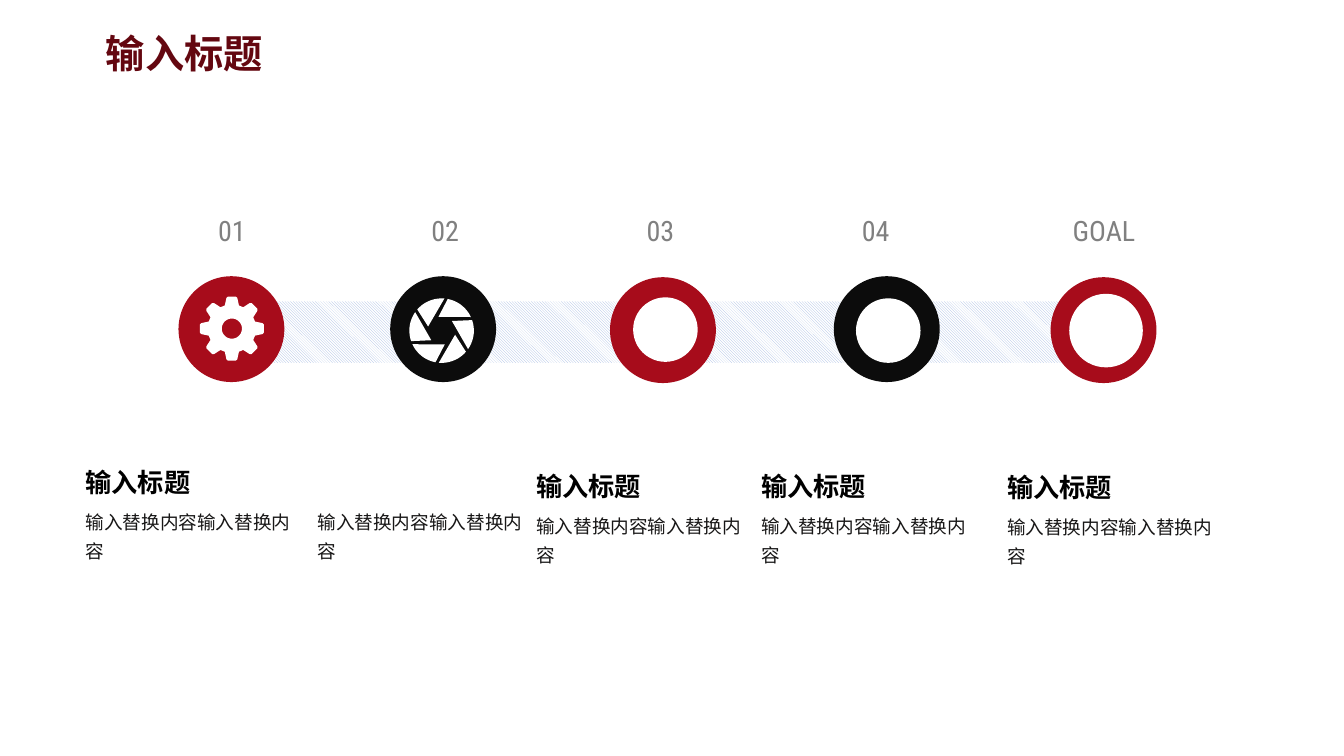
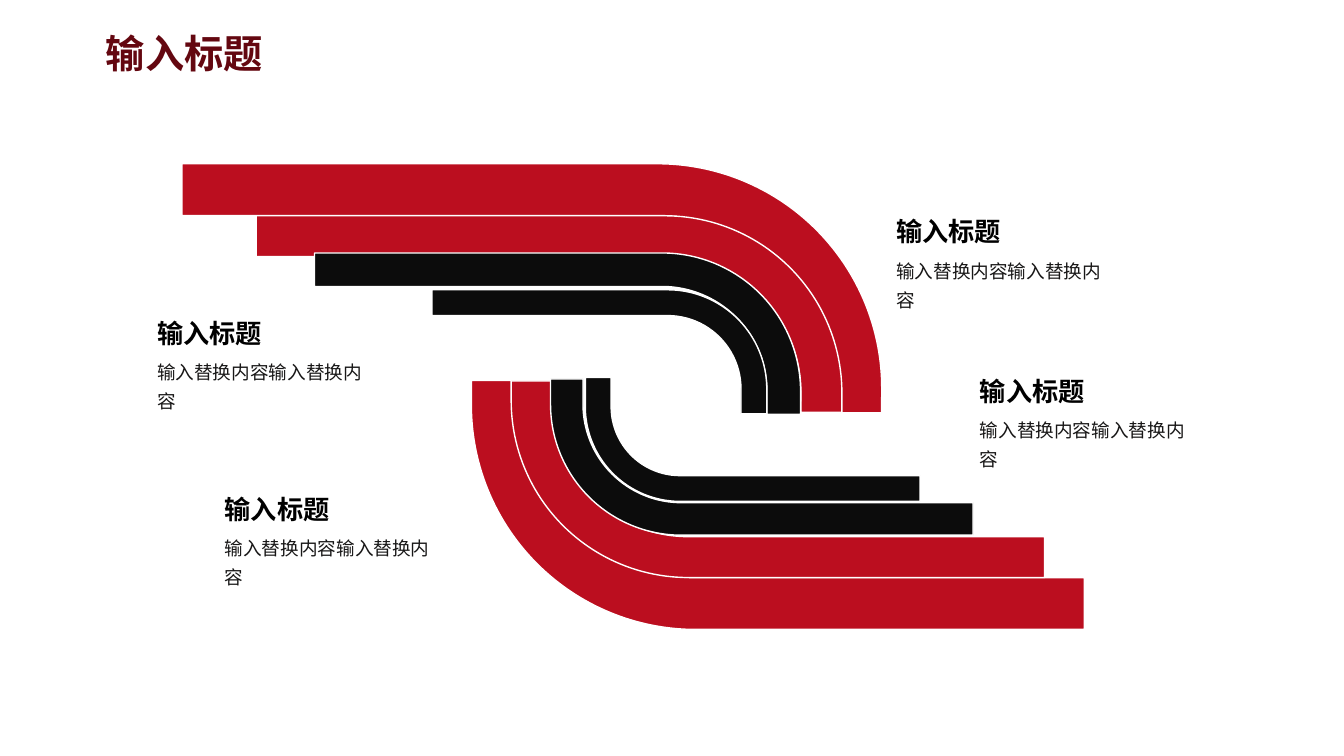
from math import cos, radians, sin

from lxml.etree import SubElement
from pptx import Presentation
from pptx.dml.color import RGBColor
from pptx.enum.dml import MSO_PATTERN
from pptx.enum.shapes import MSO_SHAPE
from pptx.enum.text import MSO_ANCHOR, MSO_AUTO_SIZE, PP_ALIGN
from pptx.oxml.ns import qn
from pptx.util import Inches, Pt

COLORS = {
    "white": "FFFFFF", "black": "0C0C0C", "crimson": "A70C1B", "red": "BB0E1F",
    "title": "640710", "heading": "000000", "body": "181717",
    "number": "808080", "stripe": "A0B7E1",
}
CJK_FONT = "Noto Sans CJK SC"
TEXT_STYLES = {
    "title": {"name": CJK_FONT, "size": Pt(28), "bold": True},
    "heading": {"name": CJK_FONT, "size": Pt(18.7), "bold": True},
    "body": {"name": CJK_FONT, "size": Pt(13.3), "bold": False},
    "number": {"name": "Roboto Condensed", "size": Pt(20), "bold": False},
}
PARAGRAPH_STYLES = {
    "title": {"alignment": PP_ALIGN.JUSTIFY},
    "heading": {"alignment": PP_ALIGN.JUSTIFY},
    "body": {"line_spacing": 1.3},
    "number": {"alignment": PP_ALIGN.CENTER},
}
TITLE_TEXT = "输入标题"
BODY_TEXT = "输入替换内容输入替换内容"
CAPTION_WIDTH = 2.24


def color(name):
    return RGBColor.from_string(COLORS[name])


def set_text(shape, text, style):
    """Write one paragraph in a named style."""
    paragraph = shape.text_frame.paragraphs[0]
    for key, value in PARAGRAPH_STYLES[style].items():
        setattr(paragraph, key, value)
    run = paragraph.add_run()
    run.text = text
    for key, value in TEXT_STYLES[style].items():
        setattr(run.font, key, value)
    run.font.color.rgb = color(style)
    east_asian = SubElement(run._r.get_or_add_rPr(), qn("a:ea"))
    east_asian.set("typeface", TEXT_STYLES[style]["name"])


def paint(shape, fill, line=None):
    shape.shadow.inherit = False
    shape.fill.solid()
    shape.fill.fore_color.rgb = color(fill)
    if line:
        shape.line.color.rgb = color(line)
        shape.line.width = Pt(1)
    else:
        shape.line.fill.background()


def add_box(slide, kind, box, fill, line=None):
    shape = slide.shapes.add_shape(kind, *map(Inches, box))
    paint(shape, fill, line)
    return shape


def add_titled_slide(presentation):
    """Start a slide with the shared title."""
    slide = presentation.slides.add_slide(presentation.slide_layouts[5])
    title = slide.shapes.title
    title.left, title.top, title.width, title.height = map(
        Inches, (0.95, 0.24, CAPTION_WIDTH, 0.57))
    title.text_frame.auto_size = MSO_AUTO_SIZE.NONE
    title.text_frame.vertical_anchor = MSO_ANCHOR.TOP
    set_text(title, TITLE_TEXT, "title")
    return slide


def add_caption(slide, left, top, has_heading=True):
    """Place a body text under an optional heading."""
    parts = [(0.37, 0.66, BODY_TEXT, "body")]
    if has_heading:
        parts.append((0, 0.42, TITLE_TEXT, "heading"))
    for offset, height, text, style in parts:
        textbox = slide.shapes.add_textbox(
            *map(Inches, (left, top + offset, CAPTION_WIDTH, height)))
        textbox.text_frame.word_wrap = True
        textbox.text_frame.auto_size = MSO_AUTO_SIZE.SHAPE_TO_FIT_TEXT
        set_text(textbox, text, style)


# Icons: outlines given as (angle in degrees, radius) around a centre
def add_outline(slide, center, contours):
    points = [[(Inches(center[0] + radius * cos(radians(angle))),
                Inches(center[1] - radius * sin(radians(angle))))
               for angle, radius in contour] for contour in contours]
    builder = slide.shapes.build_freeform(*points[0][0])
    for index, contour in enumerate(points):
        if index:
            builder.move_to(*contour[0])
        builder.add_line_segments(contour[1:], close=True)
    paint(builder.convert_to_shape(), "white")


def add_gear(slide, center):
    tooth = [(-17, 0.24), (-10, 0.31), (-7, 0.32), (7, 0.32), (10, 0.31), (17, 0.24)]
    rim = [(turn + angle, radius) for turn in range(0, 360, 45) for angle, radius in tooth]
    hole = [(angle, 0.1) for angle in range(360, 0, -10)]
    add_outline(slide, center, [rim, hole])


def add_aperture(slide, center):
    blades = [[(turn + angle, 0.32) for angle in range(85, 140, 6)] + [(turn + 163, 0.14)]
              for turn in range(0, 360, 60)]
    add_outline(slide, center, blades)


def add_disc(slide, center, diameter=0.64):
    left, top = (value - diameter / 2 for value in center)
    add_box(slide, MSO_SHAPE.OVAL, (left, top, diameter, diameter), "white")


def add_large_disc(slide, center):
    add_disc(slide, center, 0.73)


# Timeline slide
def add_stripes(slide, left, top, pitch, count):
    for index in range(count):
        bar = add_box(slide, MSO_SHAPE.RECTANGLE,
                      (left + index * pitch, top, 2.11, 0.61), "white")
        bar.fill.patterned()
        bar.fill.pattern = MSO_PATTERN.DARK_DOWNWARD_DIAGONAL
        bar.fill.fore_color.rgb = color("stripe")
        bar.fill.back_color.rgb = color("white")


def add_step(slide, left, top, fill, number, number_box, add_icon, icon_center):
    """Place a ringed icon, with its number above."""
    add_box(slide, MSO_SHAPE.OVAL, (left, top, 1.05, 1.05), fill)
    number_left, number_width = number_box
    label = add_box(slide, MSO_SHAPE.RECTANGLE,
                    (number_left, 2.06, number_width, 0.44), "white")
    label.text_frame.word_wrap = False
    set_text(label, number, "number")
    add_icon(slide, icon_center)


def build_timeline(presentation):
    slide = add_titled_slide(presentation)
    add_stripes(slide, 2.31, 2.99, 2.17, 4)
    steps = [
        (1.77, 2.74, "crimson", "01", (2.07, 0.46), add_gear, (2.3, 3.26)),
        (3.87, 2.74, "black", "02", (4.17, 0.49), add_aperture, (4.38, 3.28)),
        (6.05, 2.75, "crimson", "03", (6.3, 0.5), add_disc, (6.6, 3.27)),
        (8.27, 2.74, "black", "04", (8.44, 0.49), add_disc, (8.81, 3.28)),
        (10.42, 2.75, "crimson", "GOAL", (10.57, 0.76), add_large_disc, (10.97, 3.28)),
    ]
    for step in steps:
        add_step(slide, *step)
    captions = [(0.75, 4.58, True), (3.05, 4.58, False), (5.22, 4.62, True),
                (7.45, 4.62, True), (9.89, 4.63, True)]
    for caption in captions:
        add_caption(slide, *caption)


# Bent bands slide
def add_bands(slide, rotation, bands):
    """Place nested bent bands, outermost first."""
    for box, bend, fill in bands:
        band = add_box(slide, MSO_SHAPE.BENT_ARROW, box, fill, "white")
        band.rotation = rotation
        for index, value in enumerate((0.209, 0.104, 0, bend)):
            band.adjustments[index] = value
        transform = band._element.spPr.find(qn("a:xfrm"))
        for flip in ("flipH", "flipV"):
            transform.set(flip, "1")


def build_bent_bands(presentation):
    slide = add_titled_slide(presentation)
    add_bands(slide, 270, [
        ((4.04, -0.61, 2.47, 6.94), 0.901, "red"),
        ((4.47, 0.21, 1.95, 5.81), 0.901, "red"),
        ((4.73, 0.9, 1.6, 4.82), 0.859, "black"),
        ((5.33, 1.83, 1.23, 3.32), 0.8, "black"),
    ])
    add_bands(slide, 90, [
        ((6.48, 1.97, 2.47, 6.08), 0.901, "red"),
        ((6.74, 2.11, 1.95, 5.29), 0.901, "red"),
        ((6.78, 2.44, 1.55, 4.19), 0.838, "black"),
        ((6.85, 2.7, 1.23, 3.32), 0.764, "black"),
    ])
    for left, top in [(1.46, 3.1), (2.13, 4.84), (8.79, 2.09), (9.62, 3.67)]:
        add_caption(slide, left, top)


def main():
    presentation = Presentation()
    presentation.slide_width = Inches(13.33)
    presentation.slide_height = Inches(7.5)
    build_timeline(presentation)
    build_bent_bands(presentation)
    presentation.save("out.pptx")


if __name__ == "__main__":
    main()
